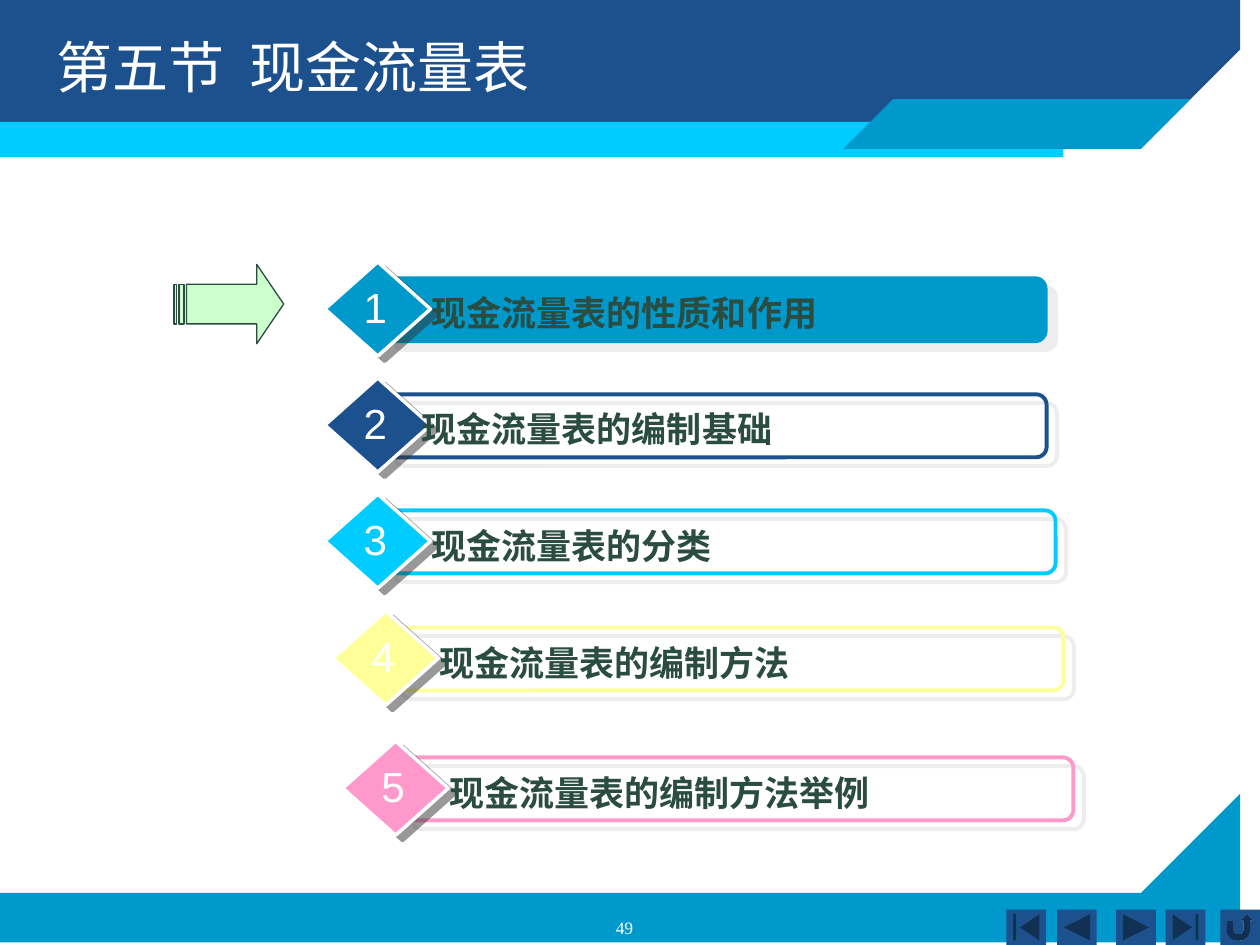
from dataclasses import dataclass

from lxml.etree import SubElement
from pptx import Presentation
from pptx.dml.color import RGBColor
from pptx.enum.shapes import MSO_SHAPE
from pptx.enum.text import MSO_ANCHOR, PP_ALIGN
from pptx.oxml.ns import qn
from pptx.util import Cm, Pt


@dataclass(frozen=True)
class Theme:
    navy: str = "1D518D"
    blue: str = "0099CB"
    cyan: str = "00CCFF"
    yellow: str = "FFFF99"
    pink: str = "FF99CC"
    mint: str = "CCFFCC"
    ink: str = "2A4C41"
    white: str = "FFFFFF"
    bar_shadow: str = "DDDDDD"
    badge_shadow: str = "333333"
    sans: str = "Arial"
    serif: str = "Times New Roman"
    cjk: str = "Noto Sans CJK SC"
    title: int = 32
    number: int = 24
    label: int = 20
    page: int = 10


@dataclass(frozen=True)
class Box:
    """A rectangle in centimetres."""
    x: float
    y: float
    w: float
    h: float

    def inner(self, dx, dy, w, h):
        return Box(self.x + dx, self.y + dy, w, h)

    def emu(self):
        return Cm(self.x), Cm(self.y), Cm(self.w), Cm(self.h)


T = Theme()


def paint(sp, fill=None, line=None, width=1.0):
    sp.shadow.inherit = False
    if fill:
        sp.fill.solid()
        sp.fill.fore_color.rgb = RGBColor.from_string(fill)
    else:
        sp.fill.background()
    if line:
        sp.line.color.rgb = RGBColor.from_string(line)
        sp.line.width = Pt(width)
    else:
        sp.line.fill.background()


def add_preset(shapes, kind, box, adj=(), **style):
    sp = shapes.add_shape(kind, *box.emu())
    for i, value in enumerate(adj):
        sp.adjustments[i] = value
    paint(sp, **style)
    return sp


def add_polygon(shapes, box, points, fill):
    pts = [(box.x + dx, box.y + dy) for dx, dy in points]
    builder = shapes.build_freeform(*pts[0], scale=Cm(1))
    builder.add_line_segments(pts[1:], close=True)
    paint(builder.convert_to_shape(), fill)


def cast_shadow(sp, color, dist, angle):
    """Give the shape a hard, half-transparent outer shadow."""
    effects = sp._element.spPr.find(qn("a:effectLst"))
    shadow = SubElement(effects, qn("a:outerShdw"), blurRad="0", dist=str(Pt(dist)),
                        dir=str(angle * 60000), algn="ctr", rotWithShape="0")
    clr = SubElement(shadow, qn("a:srgbClr"), val=color)
    SubElement(clr, qn("a:alpha"), val="50000")


def add_text(shapes, box, text, size, color=T.white, font=T.sans, bold=False,
             align=PP_ALIGN.LEFT, wrap=True):
    tf = shapes.add_textbox(*box.emu()).text_frame
    tf.word_wrap = wrap
    tf.vertical_anchor = MSO_ANCHOR.TOP
    p = tf.paragraphs[0]
    p.alignment = align
    r = p.add_run()
    r.text = text
    r.font.size = Pt(size)
    r.font.bold = bold
    r.font.color.rgb = RGBColor.from_string(color)
    r.font.name = font
    SubElement(r.font._element, qn("a:ea"), typeface=T.cjk)


def add_header(s, box, title):
    shapes = s.shapes
    add_polygon(shapes, box, [(0, 0), (box.w, 0), (box.w, 1.02), (22.66, 3.12), (0, 3.15)], T.navy)
    add_preset(shapes, MSO_SHAPE.RECTANGLE, box.inner(0, 2.46, 21.44, 0.71), fill=T.cyan)
    add_polygon(shapes, box, [(17.27, box.h), (22.66, box.h), (23.55, 2.44), (18.11, 2.44)], T.blue)
    add_text(shapes, box.inner(0.89, 0.53, 22.86, 3.18), title, T.title, font=T.cjk)


def add_footer(s, box, page):
    shapes = s.shapes
    add_polygon(shapes, box, [(0, 2.26), (22.58, 2.26), (box.w, 0), (box.w, box.h), (0, box.h)], T.blue)
    buttons = [
        (20.29, MSO_SHAPE.ACTION_BUTTON_BEGINNING),
        (21.31, MSO_SHAPE.ACTION_BUTTON_BACK_OR_PREVIOUS),
        (22.5, MSO_SHAPE.ACTION_BUTTON_FORWARD_OR_NEXT),
        (23.5, MSO_SHAPE.ACTION_BUTTON_END),
        (24.6, MSO_SHAPE.ACTION_BUTTON_RETURN),
    ]
    for dx, kind in buttons:
        add_preset(shapes, kind, box.inner(dx, 2.67, 0.8, 0.71), fill=T.navy)
    add_text(shapes, box.inner(9.63, 2.69, 5.92, 0.46), page, T.page, font=T.serif,
             align=PP_ALIGN.CENTER)


def add_item(s, box, number, label, color, current=False, label_dx=1.9):
    """Place a numbered diamond over a bar; the current item's bar is filled."""
    shapes = s.shapes.add_group_shape().shapes
    bar = add_preset(shapes, MSO_SHAPE.ROUNDED_RECTANGLE, box.inner(1.17, 0.33, box.w - 1.17, 1.27),
                     adj=[0.167], fill=color if current else None, line=color, width=2.25)
    cast_shadow(bar, T.bar_shadow, 7.8, 40)
    badge = add_preset(shapes, MSO_SHAPE.DIAMOND, box.inner(0, 0, 2.13, box.h),
                       fill=color, line=T.white, width=2)
    cast_shadow(badge, T.badge_shadow, 5, 37)
    add_text(shapes, box.inner(label_dx, 0.48, 10.69, 1.12), label, T.label, color=T.ink, bold=True)
    add_text(shapes, box.inner(0.53, 0.27, 0.97, 1.27), str(number), T.number,
             align=PP_ALIGN.CENTER, wrap=False)


def add_agenda(s, box):
    add_preset(s.shapes, MSO_SHAPE.STRIPED_RIGHT_ARROW, box.inner(0, 0.05, 2.21, 1.6),
               adj=[0.5, 0.34], fill=T.mint, line=T.ink, width=0.75)
    items = [
        (3.04, 0, 14.53, "现金流量表的性质和作用", T.blue, {"current": True}),
        (3.04, 2.34, 14.55, "现金流量表的编制基础", T.navy, {"label_dx": 1.7}),
        (3.04, 4.68, 14.73, "现金流量表的分类", T.cyan, {}),
        (3.2, 7.04, 14.73, "现金流量表的编制方法", T.yellow, {}),
        (3.4, 9.66, 14.73, "现金流量表的编制方法举例", T.pink, {}),
    ]
    for number, (dx, dy, w, label, color, options) in enumerate(items, 1):
        add_item(s, box.inner(dx, dy, w, 1.9), number, label, color, **options)


def main():
    prs = Presentation()
    prs.slide_width, prs.slide_height = Cm(25.4), Cm(19.05)
    s = prs.slides.add_slide(prs.slide_layouts[6])
    add_footer(s, Box(0, 15.67, 25.4, 3.38), "49")
    add_header(s, Box(0, 0, 25.4, 3.17), "第五节  现金流量表")
    add_agenda(s, Box(3.51, 5.28, 18.13, 11.56))
    prs.save("out.pptx")


if __name__ == "__main__":
    main()
